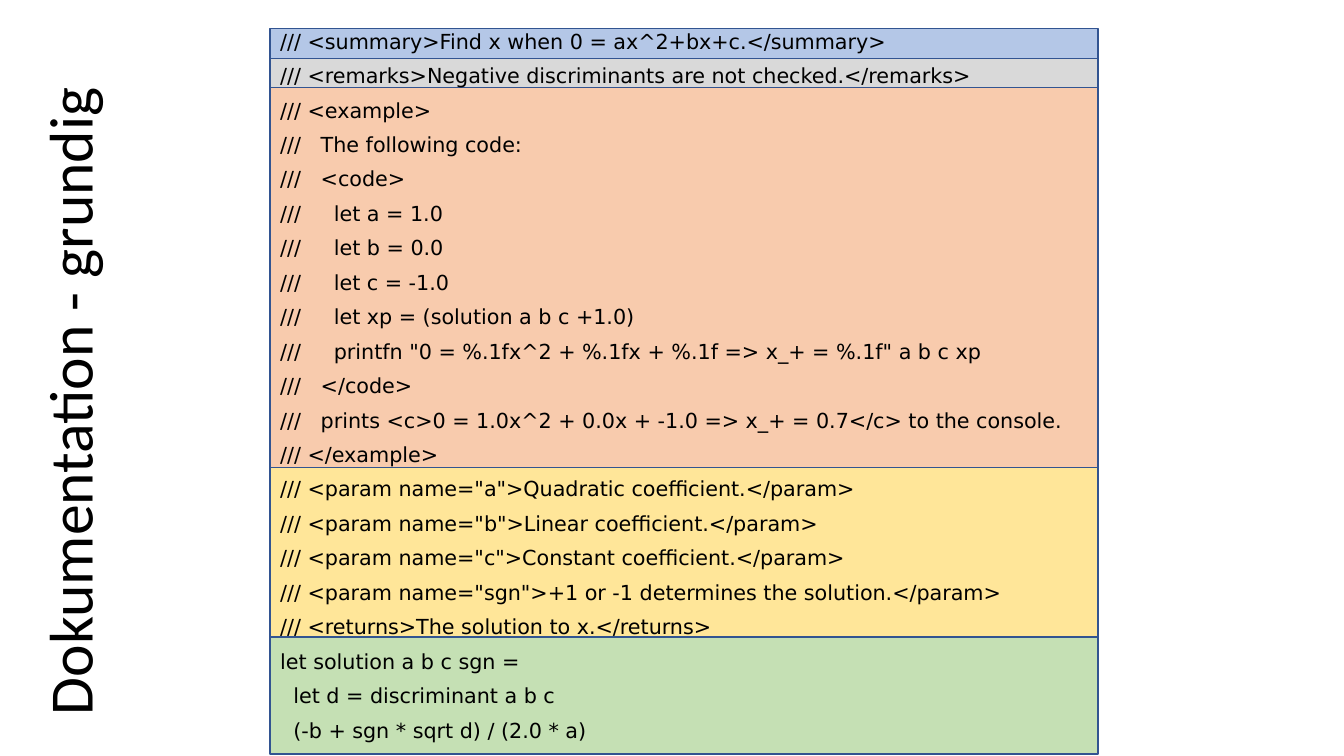
from dataclasses import dataclass

from lxml import etree
from pptx import Presentation
from pptx import util as u
from pptx.dml.color import RGBColor
from pptx.enum import shapes, text
from pptx.oxml import ns


@dataclass(frozen=True)
class Theme:
    ink: str = "000000"
    outline: str = "325491"
    summary: str = "B4C7E7"
    remarks: str = "D9D9D9"
    example: str = "F8CBAD"
    params: str = "FFE699"
    code: str = "C5E0B4"
    title_font: str = "Calibri"
    code_font: str = "DejaVu Sans"
    title_size: float = 44
    code_size: float = 14.8
    code_gap: float = 10.4


@dataclass(frozen=True)
class Area:
    """A box in percent of the slide's width and height."""
    left: float
    top: float
    width: float
    height: float


@dataclass(frozen=True)
class Band:
    top: float
    bottom: float
    colour: str


THEME = Theme()
WIDTH, HEIGHT = u.Inches(13.33), u.Inches(7.5)
LISTING_LEFT, BAND_WIDTH = 20.1, 61.59
SUMMARY, REMARKS, EXAMPLE, PARAMS, CODE, END = 3.73, 7.73, 11.6, 61.87, 84.27, 99.73
BANDS = [
    Band(SUMMARY, CODE, THEME.summary),
    Band(PARAMS, CODE, THEME.params),
    Band(EXAMPLE, PARAMS, THEME.example),
    Band(REMARKS, EXAMPLE, THEME.remarks),
    Band(CODE, END, THEME.code),
]
LISTING_AREA = Area(LISTING_LEFT, SUMMARY, 72.39, 96.27)
TITLE_AREA = Area(-37.73, 9.6, 86.27, 19.33)
LISTING = '''\
/// <summary>Find x when 0 = ax^2+bx+c.</summary>
/// <remarks>Negative discriminants are not checked.</remarks>
/// <example>
///   The following code:
///   <code>
///     let a = 1.0
///     let b = 0.0
///     let c = -1.0
///     let xp = (solution a b c +1.0)
///     printfn "0 = %.1fx^2 + %.1fx + %.1f => x_+ = %.1f" a b c xp
///   </code>
///   prints <c>0 = 1.0x^2 + 0.0x + -1.0 => x_+ = 0.7</c> to the console.
/// </example>
/// <param name="a">Quadratic coefficient.</param>
/// <param name="b">Linear coefficient.</param>
/// <param name="c">Constant coefficient.</param>
/// <param name="sgn">+1 or -1 determines the solution.</param>
/// <returns>The solution to x.</returns>
let solution a b c sgn =
  let d = discriminant a b c
  (-b + sgn * sqrt d) / (2.0 * a)'''


def place(area: Area) -> tuple[int, int, int, int]:
    """Turn percentages into left, top, width and height in EMU."""
    return (round(area.left * WIDTH / 100), round(area.top * HEIGHT / 100),
            round(area.width * WIDTH / 100), round(area.height * HEIGHT / 100))


def draw_band(slide, band: Band) -> None:
    area = Area(LISTING_LEFT, band.top, BAND_WIDTH, band.bottom - band.top)
    box = slide.shapes.add_shape(shapes.MSO_SHAPE.RECTANGLE, *place(area))
    box.shadow.inherit = False
    box.fill.solid()
    box.fill.fore_color.rgb = RGBColor.from_string(band.colour)
    box.line.color.rgb = RGBColor.from_string(THEME.outline)
    box.line.width = u.Pt(1)


def fill_placeholder(holder, area: Area, lines: list[str], font: str, size: float,
                     spacing: float, gap: float, anchor) -> None:
    holder.left, holder.top, holder.width, holder.height = place(area)
    frame = holder.text_frame
    frame.word_wrap = True
    frame.auto_size = text.MSO_AUTO_SIZE.NONE
    frame.vertical_anchor = anchor
    for number, line in enumerate(lines):
        paragraph = frame.paragraphs[0] if number == 0 else frame.add_paragraph()
        paragraph.alignment = text.PP_ALIGN.LEFT
        paragraph.line_spacing = spacing
        paragraph.space_before = u.Pt(gap)
        run = paragraph.add_run()
        run.text = line
        run.font.name = font
        run.font.size = u.Pt(size)
        run.font.color.rgb = RGBColor.from_string(THEME.ink)


def remove_bullets(holder) -> None:
    for paragraph in holder.text_frame.paragraphs:
        properties = paragraph._p.get_or_add_pPr()
        properties.set("marL", "0")
        properties.set("indent", "0")
        etree.SubElement(properties, ns.qn("a:buNone"))


def main() -> None:
    deck = Presentation()
    deck.slide_width, deck.slide_height = WIDTH, HEIGHT
    slide = deck.slides.add_slide(deck.slide_layouts[1])
    title, listing = slide.shapes.title, slide.placeholders[1]

    for band in BANDS:
        draw_band(slide, band)

    fill_placeholder(listing, LISTING_AREA, LISTING.splitlines(), THEME.code_font,
                     THEME.code_size, 0.8, THEME.code_gap, text.MSO_ANCHOR.TOP)
    remove_bullets(listing)
    fill_placeholder(title, TITLE_AREA, ["Dokumentation - grundig"], THEME.title_font,
                     THEME.title_size, 0.9, 0, text.MSO_ANCHOR.MIDDLE)
    title.rotation = 270

    # The text belongs in front of the coloured bands.
    for holder in (listing, title):
        slide.shapes.element.append(holder.element)
    deck.save("out.pptx")


if __name__ == "__main__":
    main()
